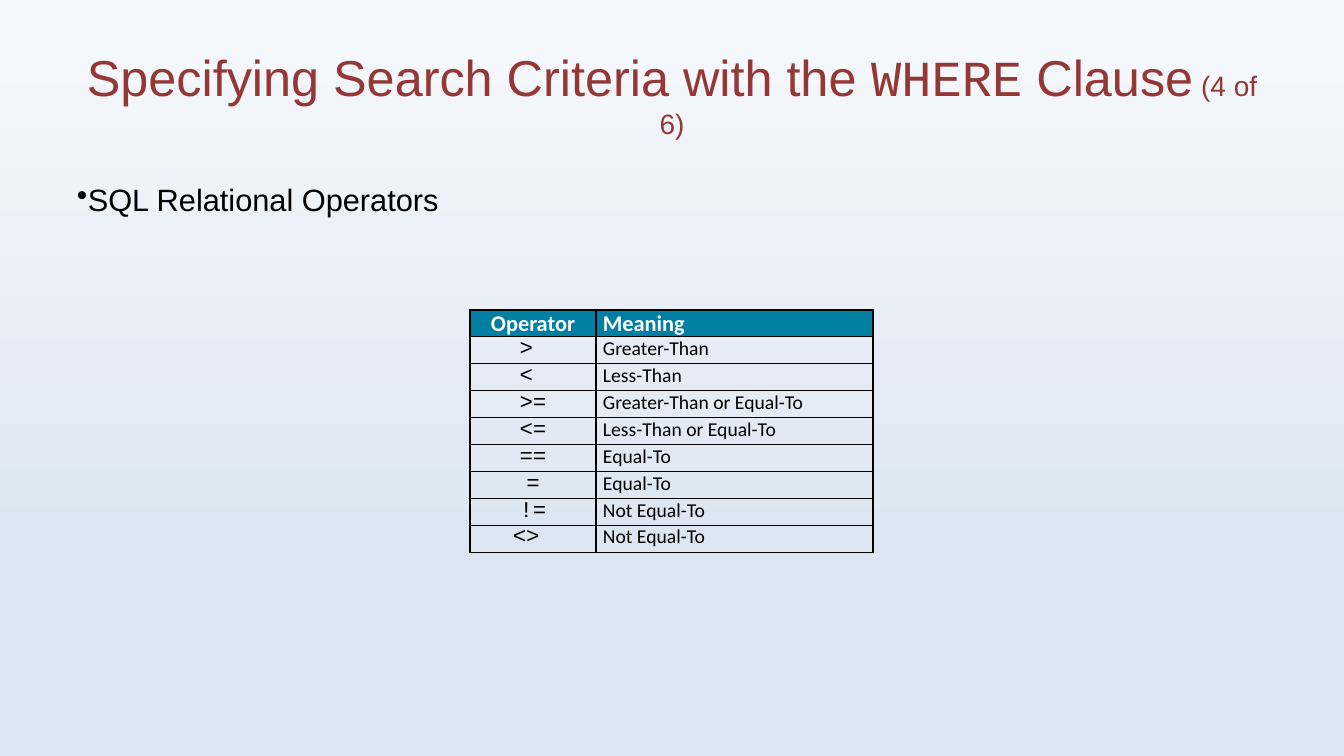
from lxml.etree import SubElement
from pptx import Presentation
from pptx.dml.color import RGBColor
from pptx.enum.text import MSO_ANCHOR, PP_ALIGN
from pptx.oxml.ns import qn
from pptx.util import Pt

PX = 9071  # EMU per pixel at 100.8 pixels to the inch
COLORS = {"sky": "F6F9FC", "mist": "DCE6F2", "title": "953735",
          "text": "000000", "header": "007FA3", "header_text": "FFFFFF"}


def add_run(paragraph, text, font, size, color, bold=False):
    """Append a formatted run to the paragraph."""
    run = paragraph.add_run()
    run.text = text
    formats = {"name": font, "size": Pt(size), "bold": bold}
    for key, value in formats.items():
        setattr(run.font, key, value)
    run.font.color.rgb = RGBColor.from_string(COLORS[color])


def add_borders(cell):
    """Draw a thin solid line on all four sides of a table cell."""
    properties = cell._tc.get_or_add_tcPr()
    for side in ("a:lnL", "a:lnR", "a:lnT", "a:lnB"):
        line = SubElement(properties, qn(side), w=str(Pt(1)))
        fill = SubElement(line, qn("a:solidFill"))
        SubElement(fill, qn("a:srgbClr"), val=COLORS["text"])


deck = Presentation()
deck.slide_width, deck.slide_height = 1344 * PX, 756 * PX
slide = deck.slides.add_slide(deck.slide_layouts[6])

# Background
backdrop = slide.background.fill
backdrop.gradient()
backdrop.gradient_angle = 270
for stop, (position, color) in zip(backdrop.gradient_stops,
                                   [(0, "sky"), (0.73, "mist")]):
    stop.position = position
    stop.color.rgb = RGBColor.from_string(COLORS[color])

# Title
title = slide.shapes.add_textbox(67 * PX, 30 * PX, 1210 * PX, 126 * PX).text_frame
title.word_wrap = True
title.vertical_anchor = MSO_ANCHOR.MIDDLE
heading = title.paragraphs[0]
heading.alignment = PP_ALIGN.CENTER
for text, font, size in [("Specifying Search Criteria with the ", "Arial", 36),
                         ("WHERE", "Courier New", 36),
                         (" Clause", "Arial", 36),
                         (" (4 of 6)", "Arial", 20)]:
    add_run(heading, text, font, size, "title")

# Bullet
body = slide.shapes.add_textbox(67 * PX, 176 * PX, 1210 * PX, 499 * PX).text_frame
body.word_wrap = True
topic = body.paragraphs[0]
topic.space_after = Pt(12)
SubElement(topic._p.get_or_add_pPr(), qn("a:buChar"), char="\u2022")
add_run(topic, "SQL Relational Operators", "Arial", 22, "text")

# Operator table
operators = [("Operator", "Meaning"),
             (">\u00a0", "Greater-Than"),
             ("<\u00a0", "Less-Than"),
             (">=", "Greater-Than or Equal-To"),
             ("<=", "Less-Than or Equal-To"),
             ("==", "Equal-To"),
             ("=", "Equal-To"),
             ("!=", "Not Equal-To"),
             ("<>\u00a0", "Not Equal-To")]
header_styles = [("Calibri", 16, "header_text", True)] * 2
row_styles = [("Courier New", 16, "text"), ("Calibri", 14, "text")]
alignments = [PP_ALIGN.CENTER, PP_ALIGN.LEFT]
cell_margins = {"margin_left": 7 * PX, "margin_right": 7 * PX,
                "margin_top": 0, "margin_bottom": 0}

operator_frame = slide.shapes.add_table(len(operators), 2, 470 * PX, 310 * PX,
                                        403 * PX, 242 * PX)
operator_table = operator_frame.table
operator_table.first_row = operator_table.horz_banding = False
for column, width in zip(operator_table.columns, (126, 277)):
    column.width = width * PX
for row in operator_table.rows:
    row.height = 23 * PX
operator_frame.height = 242 * PX

for r, entry in enumerate(operators):
    styles = row_styles if r else header_styles
    for c, text in enumerate(entry):
        cell = operator_table.cell(r, c)
        for key, value in cell_margins.items():
            setattr(cell, key, value)
        add_borders(cell)
        if r:
            cell.fill.background()
        else:
            cell.fill.solid()
            cell.fill.fore_color.rgb = RGBColor.from_string(COLORS["header"])
        paragraph = cell.text_frame.paragraphs[0]
        paragraph.alignment = alignments[c]
        add_run(paragraph, text, *styles[c])

deck.save("out.pptx")
